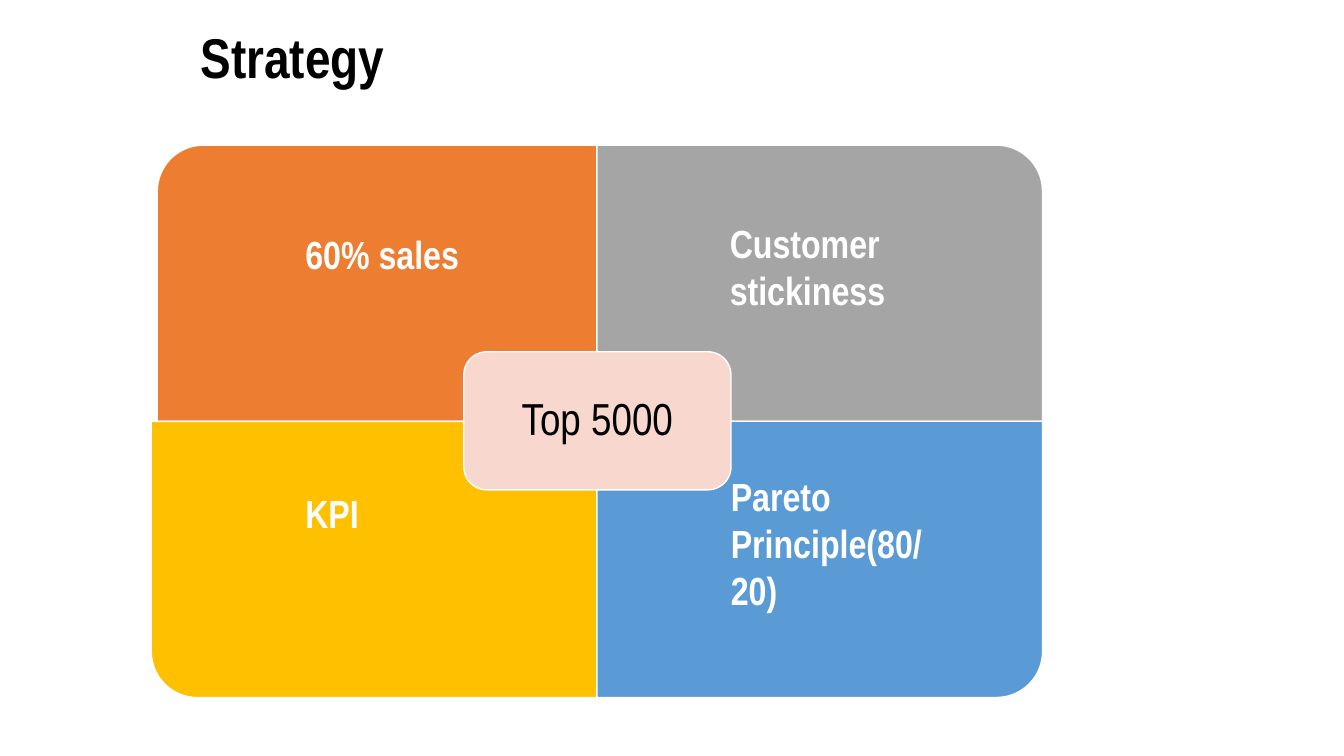
from dataclasses import dataclass

from pptx import Presentation
from pptx import util as u
from pptx.dml.color import RGBColor
from pptx.enum import shapes, text

FONT = "Arial Narrow"
COLORS = {
    "orange": "ED7D31",
    "gray": "A5A5A5",
    "gold": "FFC000",
    "blue": "5B9BD5",
    "pink": "F8D7CE",
    "white": "FFFFFF",
    "black": "000000",
}
QUADRANT_WIDTH, QUADRANT_HEIGHT = 4.42, 2.74


@dataclass
class Quadrant:
    """A colored quarter, placed by its visible corner, and its label."""
    left: float
    top: float
    rotation: int
    color: str
    label: str
    label_left: float
    label_top: float
    label_width: float
    label_height: float


QUADRANTS = [
    Quadrant(1.56, 1.44, 270, "orange", "60% sales", 2.93, 2.24, 2.7, 0.57),
    Quadrant(5.92, 1.44, 0, "gray", "Customer stickiness", 7.14, 2.13, 2.54, 1.04),
    Quadrant(1.5, 4.18, 180, "gold", "KPI", 2.93, 4.81, 2.24, 0.57),
    Quadrant(5.92, 4.18, 90, "blue", "Pareto\nPrinciple(80/20)", 7.15, 4.64, 2.24, 1.04),
]


def write_text(shape, content: str, *, size: int, color: str, bold: bool = False,
               align=text.PP_ALIGN.LEFT, anchor=text.MSO_ANCHOR.TOP,
               line_spacing: float = 1.0) -> None:
    frame = shape.text_frame
    frame.text = content
    frame.word_wrap = True
    frame.auto_size = text.MSO_AUTO_SIZE.NONE
    frame.vertical_anchor = anchor
    for paragraph in frame.paragraphs:
        paragraph.alignment = align
        paragraph.line_spacing = line_spacing
        font = paragraph.runs[0].font
        font.name, font.size, font.bold = FONT, u.Pt(size), bold
        font.color.rgb = RGBColor.from_string(COLORS[color])


def add_block(slide, kind, left: float, top: float, width: float, height: float,
              color: str):
    shape = slide.shapes.add_shape(kind, *map(u.Inches, (left, top, width, height)))
    shape.shadow.inherit = False
    shape.fill.solid()
    shape.fill.fore_color.rgb = RGBColor.from_string(COLORS[color])
    shape.line.color.rgb = RGBColor.from_string(COLORS["white"])
    shape.line.width = u.Pt(1)
    return shape


def add_quadrant(slide, quadrant: Quadrant) -> None:
    width, height = QUADRANT_WIDTH, QUADRANT_HEIGHT
    if quadrant.rotation % 180:
        width, height = height, width
    # A quarter turn swaps the sides around the same center
    left = quadrant.left + (QUADRANT_WIDTH - width) / 2
    top = quadrant.top + (QUADRANT_HEIGHT - height) / 2
    shape = add_block(slide, shapes.MSO_SHAPE.ROUND_1_RECTANGLE,
                      left, top, width, height, quadrant.color)
    shape.rotation = quadrant.rotation


def add_label(slide, quadrant: Quadrant) -> None:
    box = slide.shapes.add_textbox(
        u.Inches(quadrant.label_left), u.Inches(quadrant.label_top),
        u.Inches(quadrant.label_width), u.Inches(quadrant.label_height))
    write_text(box, quadrant.label, size=28, color="white", bold=True)


def main() -> None:
    presentation = Presentation()
    presentation.slide_width = u.Inches(13.33)
    presentation.slide_height = u.Inches(7.5)
    slide = presentation.slides.add_slide(presentation.slide_layouts[5])

    # Title
    title = slide.shapes.title
    title.left, title.top = u.Inches(1.89), u.Inches(0.17)
    title.width, title.height = u.Inches(6.67), u.Inches(0.77)
    write_text(title, "Strategy", size=40, color="black", bold=True)

    # Matrix quarters
    for quadrant in QUADRANTS:
        add_quadrant(slide, quadrant)

    # Center tile
    center = add_block(slide, shapes.MSO_SHAPE.ROUNDED_RECTANGLE,
                       4.6, 3.49, 2.65, 1.37, "pink")
    write_text(center, "Top 5000", size=32, color="black", line_spacing=0.9,
               align=text.PP_ALIGN.CENTER, anchor=text.MSO_ANCHOR.MIDDLE)

    # Quarter labels
    for quadrant in QUADRANTS:
        add_label(slide, quadrant)

    presentation.save("out.pptx")


if __name__ == "__main__":
    main()
